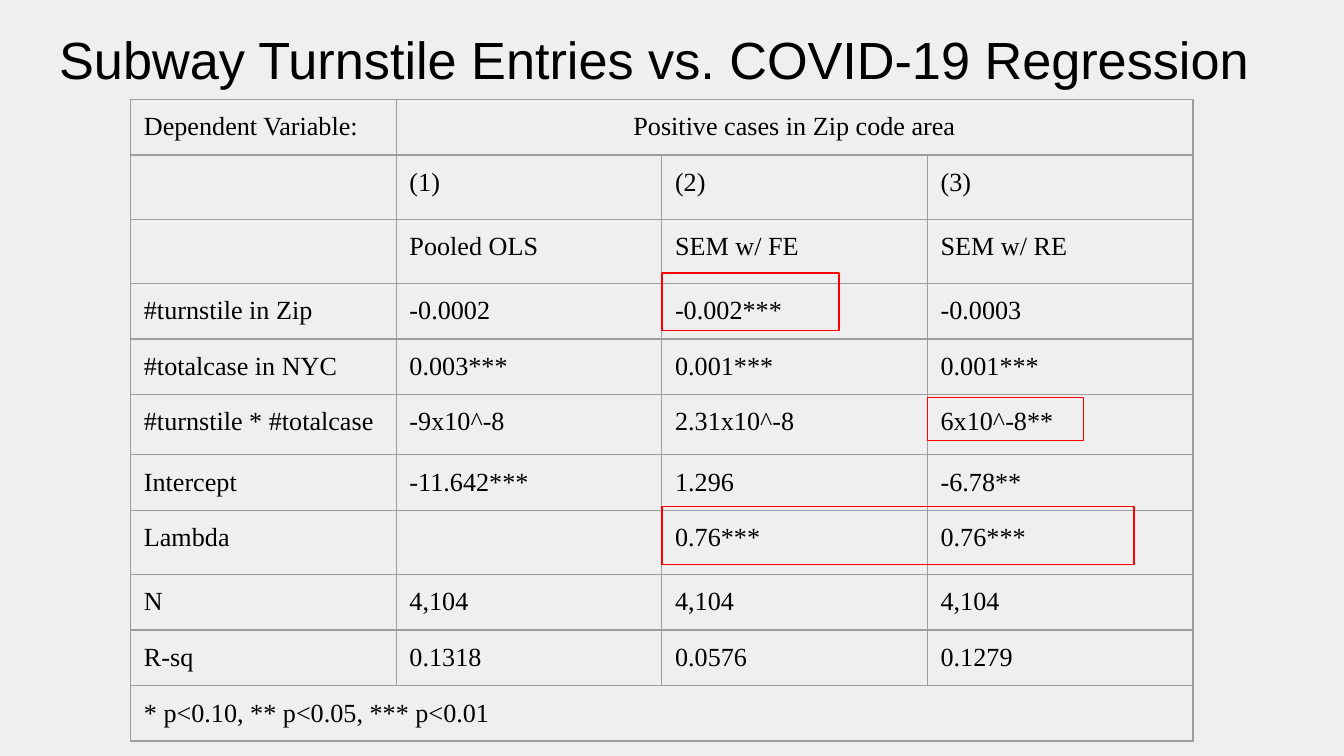
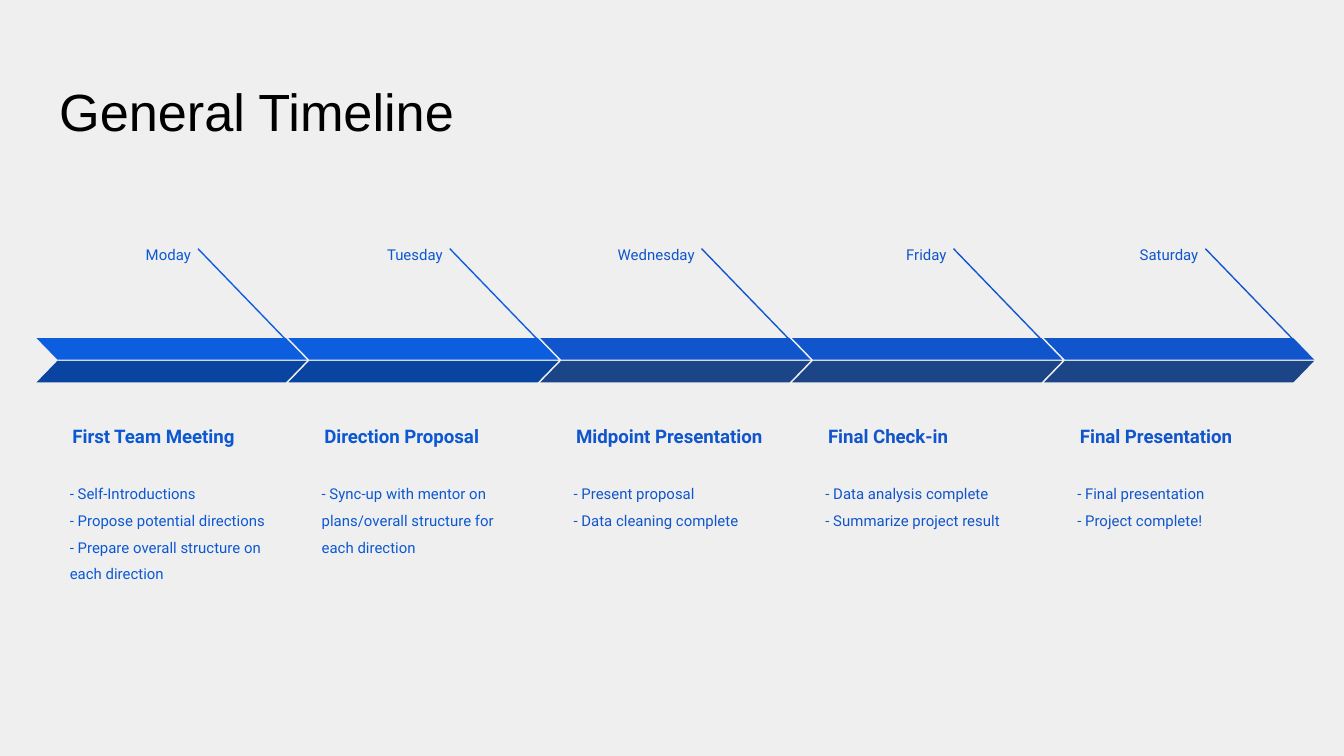
from lxml.etree import SubElement
from pptx import Presentation
from pptx.dml.color import RGBColor
from pptx.enum.shapes import MSO_CONNECTOR, MSO_SHAPE
from pptx.enum.text import MSO_ANCHOR as ANCHOR, PP_ALIGN as ALIGN
from pptx.oxml.ns import qn
from pptx.util import Cm, Pt

BACKGROUND = "EFEFEF"
BLACK = "000000"
GRID = "9E9E9E"
RED = "FF0000"
SKY = ("0C58D3", "0D5DDF", "0944A1")
NAVY = ("1155CC", "1155CC", "1C4587")
INSET = Cm(0.25)
CELL_BOTTOM_INSET = Cm(0.2)

REGRESSION = [
    ["Dependent Variable:", "Positive cases in Zip code area", "", ""],
    ["", "(1)", "(2)", "(3)"],
    ["", "Pooled OLS", "SEM w/ FE", "SEM w/ RE"],
    ["#turnstile in Zip", "-0.0002", "-0.002***", "-0.0003"],
    ["#totalcase in NYC", "0.003***", "0.001***", "0.001***"],
    ["#turnstile * #totalcase", "-9x10^-8", "2.31x10^-8", "6x10^-8**"],
    ["Intercept", "-11.642***", "1.296", "-6.78**"],
    ["Lambda", "", "0.76***", "0.76***"],
    ["N", "4,104", "4,104", "4,104"],
    ["R-sq", "0.1318", "0.0576", "0.1279"],
    ["* p<0.10, ** p<0.05, *** p<0.01", "", "", ""],
]
COL_WIDTH = 5.02
ROW_HEIGHT = 1.05
INTERACTION_ROW, INTERACTION_HEIGHT = 5, 1.14
HIGHLIGHTS = [(3, 5.64, 2.95, 0.81), (2, 7.7, 8.92, 1.09), (2, 3.28, 3.35, 1.09)]

MILESTONES = [
    ("Moday", 1.73, "First Team Meeting",
     ["- Self-Introductions", "- Propose potential directions",
      "- Prepare overall structure on each direction"], SKY),
    ("Tuesday", 1.73, "Direction Proposal",
     ["- Sync-up with mentor on plans/overall structure for each direction"], SKY),
    ("Wednesday", 2, "Midpoint Presentation",
     ["- Present proposal", "- Data cleaning complete"], NAVY),
    ("Friday", 1.73, "Final Check-in",
     ["- Data analysis complete", "- Summarize project result"], NAVY),
    ("Saturday", 1.73, "Final Presentation",
     ["- Final presentation", "- Project complete!"], NAVY),
]
MILESTONE_STEP = 4.76


def rgb(value):
    return RGBColor.from_string(value)


def style_runs(p, size, font, color, bold=False):
    for r in p.runs:
        r.font.size = Pt(size)
        r.font.name = font
        r.font.bold = bold
        r.font.color.rgb = rgb(color)


def add_text(shapes, box, lines, size, font, color, bold=False, align=ALIGN.LEFT,
             anchor=ANCHOR.TOP, spacing=1.0, after=0):
    tf = shapes.add_textbox(*map(Cm, box)).text_frame
    tf.word_wrap = True
    tf.vertical_anchor = anchor
    tf.margin_left = tf.margin_right = tf.margin_top = tf.margin_bottom = INSET
    tf.text = "\n".join(lines)
    for p in tf.paragraphs:
        p.alignment = align
        p.line_spacing = spacing
        p.space_after = Pt(after)
        style_runs(p, size, font, color, bold)


def add_slide(prs, title, title_top):
    s = prs.slides.add_slide(prs.slide_layouts[6])
    s.background.fill.solid()
    s.background.fill.fore_color.rgb = rgb(BACKGROUND)
    add_text(s.shapes, (0.87, title_top, 23.67, 1.6), [title], 28, "Arial", BLACK)
    return s


def add_borders(cell):
    tc_pr = cell._tc.get_or_add_tcPr()
    for side in ("a:lnL", "a:lnR", "a:lnT", "a:lnB"):
        ln = SubElement(tc_pr, qn(side), w=str(Pt(0.75)))
        fill = SubElement(ln, qn("a:solidFill"))
        SubElement(fill, qn("a:srgbClr"), val=GRID)


def add_regression_table(s, left, top):
    n_rows, n_cols = len(REGRESSION), len(REGRESSION[0])
    table = s.shapes.add_table(n_rows, n_cols, Cm(left), Cm(top),
                               Cm(COL_WIDTH * n_cols), Cm(ROW_HEIGHT * n_rows)).table
    table.first_row = table.horz_banding = False
    for col in table.columns:
        col.width = Cm(COL_WIDTH)
    for row in table.rows:
        row.height = Cm(ROW_HEIGHT)
    table.rows[INTERACTION_ROW].height = Cm(INTERACTION_HEIGHT)
    for i, values in enumerate(REGRESSION):
        for j, value in enumerate(values):
            cell = table.cell(i, j)
            cell.margin_left = cell.margin_right = cell.margin_top = INSET
            cell.margin_bottom = CELL_BOTTOM_INSET
            add_borders(cell)
            cell.fill.background()
            if value:
                cell.text_frame.text = value
                style_runs(cell.text_frame.paragraphs[0], 14, "Times New Roman", BLACK)
    table.cell(0, 1).text_frame.paragraphs[0].alignment = ALIGN.CENTER
    table.cell(0, 1).merge(table.cell(0, n_cols - 1))
    table.cell(n_rows - 1, 0).merge(table.cell(n_rows - 1, n_cols - 1))


def add_highlights(s, left, top):
    for col, dy, width, height in HIGHLIGHTS:
        frame = s.shapes.add_shape(MSO_SHAPE.RECTANGLE, Cm(left + col * COL_WIDTH),
                                   Cm(top + dy), Cm(width), Cm(height))
        frame.shadow.inherit = False
        frame.fill.background()
        frame.line.color.rgb = rgb(RED)
        frame.line.width = Pt(0.75)


def add_band(shapes, left, top, color, flipped):
    band = shapes.add_shape(MSO_SHAPE.PARALLELOGRAM, Cm(left), Cm(top), Cm(5.11), Cm(0.41))
    band.adjustments[0] = 0.97
    band.shadow.inherit = False
    band.fill.solid()
    band.fill.fore_color.rgb = rgb(color)
    band.line.fill.background()
    if flipped:
        band.element.spPr.find(qn("a:xfrm")).set("flipH", "1")


def add_pointer(shapes, left, top, color):
    line = shapes.add_connector(MSO_CONNECTOR.STRAIGHT, Cm(left), Cm(top),
                                Cm(left + 1.99), Cm(top + 2.06))
    line.line.color.rgb = rgb(color)
    line.line.width = Pt(0.75)
    SubElement(line.element.spPr, qn("a:effectLst"))


def add_milestone(s, left, top, day, day_width, heading, tasks, colors):
    text_color, upper, lower = colors
    shapes = s.shapes.add_group_shape().shapes
    add_text(shapes, (left + 3.17 - day_width, top + 0.03, day_width, 0.66), [day], 8,
             "Roboto", text_color, align=ALIGN.RIGHT, spacing=1.15, after=16)
    add_text(shapes, (left + 0.43, top + 3.09, 4.19, 1.24), [heading], 10, "Roboto",
             text_color, bold=True, anchor=ANCHOR.BOTTOM, spacing=1.15)
    add_text(shapes, (left + 0.38, top + 4.37, 4.29, 2.06), tasks, 8, "Roboto",
             text_color, spacing=1.5)
    add_pointer(shapes, left + 3.05, top + 0.33, upper)
    add_band(shapes, left, top + 2.02, upper, True)
    add_band(shapes, left, top + 2.45, lower, False)


def add_regression_slide(prs):
    s = add_slide(prs, "Subway Turnstile Entries vs. COVID-19 Regression", 0.27)
    left, top = 2.47, 1.88
    add_regression_table(s, left, top)
    add_highlights(s, left, top)


def add_timeline_slide(prs):
    s = add_slide(prs, "General Timeline", 1.24)
    for i, milestone in enumerate(MILESTONES):
        add_milestone(s, 0.69 + i * MILESTONE_STEP, 4.37, *milestone)


def main():
    prs = Presentation()
    prs.slide_width, prs.slide_height = Cm(25.4), Cm(14.29)
    add_regression_slide(prs)
    add_timeline_slide(prs)
    prs.save("out.pptx")


if __name__ == "__main__":
    main()
